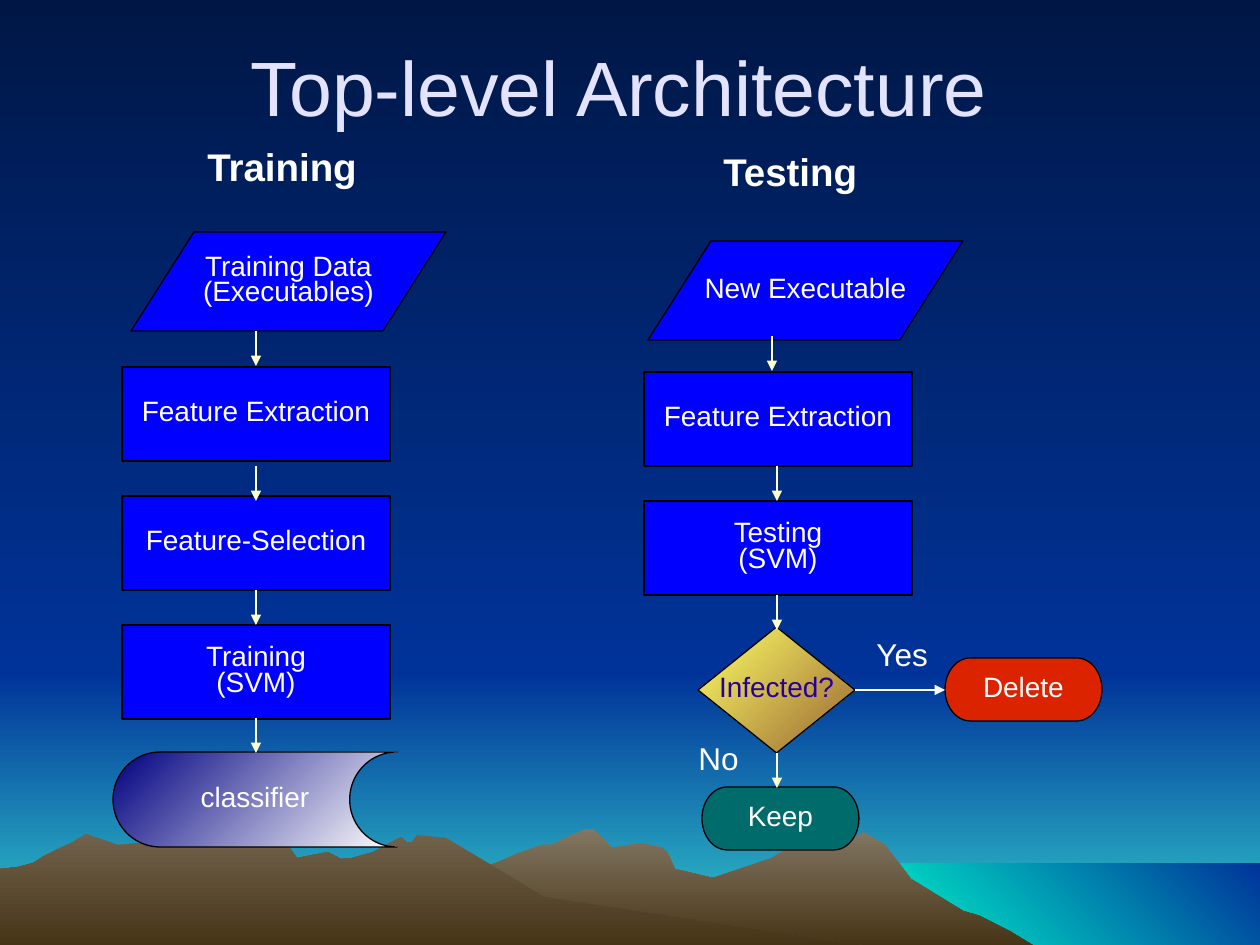
"""Build the top-level architecture slide: training and testing flows over a landscape."""
import lxml.etree
import pptx
import pptx.dml.color
import pptx.enum.shapes
import pptx.enum.text
import pptx.oxml.ns
import pptx.util

EMU_PER_PX = 914400 / 126
WIDTH, HEIGHT = 1260, 945
HORIZON = 672
KIND = pptx.enum.shapes.MSO_SHAPE
ALIGN = pptx.enum.text.PP_ALIGN
ANCHOR = pptx.enum.text.MSO_ANCHOR
BLUE, WHITE, CREAM = "0000FF", "FFFFFF", "FFFFCC"
NIGHT = ("001746", "003399", 90)

# left, top, width, height, gradient
SCENERY = [
    (0, HORIZON, WIDTH, HEIGHT - HORIZON, ("003399", "33CCCC", 90)),
    (0, 0, WIDTH, HORIZON, NIGHT),
    (861, 863, WIDTH - 861, HEIGHT - 863, ("003399", "00FFCC", 135)),
]
MOUNTAINS = [
    (("837763", "463416", 90), [
        (1034, 946), (1011, 932), (980, 916), (963, 911), (911, 879), (885, 845),
        (863, 832), (852, 840), (827, 845), (793, 845), (772, 858), (713, 878),
        (675, 869), (667, 852), (663, 848), (641, 843), (612, 848), (597, 833),
        (593, 829), (586, 829), (567, 837), (552, 845), (542, 845), (519, 853),
        (496, 863), (447, 879), (412, 893), (349, 931), (325, 946)]),
    (("72644E", "463416", 90), [
        (869, 946), (840, 942), (544, 897), (446, 838), (417, 835), (412, 842),
        (407, 842), (401, 837), (373, 852), (352, 858), (341, 859), (328, 852),
        (297, 858), (281, 835), (276, 832), (267, 829), (247, 829), (241, 834),
        (227, 838), (202, 845), (186, 840), (180, 840), (166, 845), (161, 845),
        (155, 843), (140, 843), (118, 845), (86, 834), (71, 843), (58, 849),
        (44, 856), (33, 863), (18, 867), (0, 869), (0, 946)]),
]

BOX_WIDTH, BOX_HEIGHT, BOX_PITCH = 268, 94, 129
# left, top of the first box, texts
BOX_COLUMNS = [
    (122, 367, [["Feature Extraction"], ["Feature-Selection"], ["Training", "(SVM)"]]),
    (644, 372, [["Feature Extraction"], ["Testing", "(SVM)"]]),
]
# preset, left, top, width, height, fill, text lines, text colour
NODES = [
    (KIND.FLOWCHART_DATA, 131, 232, 315, 99, BLUE, ["Training Data", "(Executables)"], WHITE),
    (KIND.FLOWCHART_DATA, 648, 241, 315, 99, BLUE, ["New Executable"], WHITE),
    (KIND.FLOWCHART_STORED_DATA, 113, 752, 284, 95, ("000080", "FFFFFF", 45), ["classifier"], WHITE),
    (KIND.FLOWCHART_DECISION, 698, 627, 157, 126, ("FFFF66", "996633", 45), ["Infected?"], "280099"),
    (KIND.FLOWCHART_TERMINATOR, 702, 787, 157, 63, "006B6B", ["Keep"], WHITE),
    (KIND.FLOWCHART_TERMINATOR, 945, 658, 157, 63, "DC2300", ["Delete"], WHITE),
]
ARROW_LENGTH = 35
# x, tops of the downward arrows
ARROW_COLUMNS = [(256, [331, 466, 590, 718]), (772, [336]), (777, [466, 595, 753])]
# text, left, top, width, height, size, bold, alignment
LABELS = [
    ("Training", 195, 147, 252, 48, 22, True, ALIGN.LEFT),
    ("Testing", 711, 152, 252, 48, 22, True, ALIGN.LEFT),
    ("No", 656, 741, 95, 42, 18, False, ALIGN.RIGHT),
    ("Yes", 864, 637, 95, 42, 18, False, ALIGN.LEFT),
]


def px(*values):
    return [pptx.util.Emu(round(value * EMU_PER_PX)) for value in values]


def color(value):
    return pptx.dml.color.RGBColor.from_string(value)


def paint(fill, value):
    if isinstance(value, str):
        fill.solid()
        fill.fore_color.rgb = color(value)
        return
    *ends, angle = value
    fill.gradient()
    fill.gradient_angle = 360 - angle
    for stop, end in zip(fill.gradient_stops, ends):
        stop.color.rgb = color(end)


def write(frame, lines, size, text_color, align=ALIGN.CENTER, spacing=0.76, bold=False):
    for index, line in enumerate(lines):
        paragraph = frame.add_paragraph() if index else frame.paragraphs[0]
        paragraph.text = line
        paragraph.alignment = align
        paragraph.line_spacing = spacing
        font = paragraph.font
        font.name, font.size, font.bold = "Arial", pptx.util.Pt(size), bold
        font.color.rgb = color(text_color)


def add_scenery(slide):
    paint(slide.background.fill, NIGHT)
    pieces = [(slide.shapes.add_shape(KIND.RECTANGLE, *px(*box)), gradient)
              for *box, gradient in SCENERY]
    for gradient, points in MOUNTAINS:
        builder = slide.shapes.build_freeform(*points[0], scale=EMU_PER_PX)
        builder.add_line_segments(points[1:], close=True)
        pieces.append((builder.convert_to_shape(), gradient))
    for shape, gradient in pieces:
        shape.shadow.inherit = False
        shape.line.fill.background()
        paint(shape.fill, gradient)


def add_node(slide, kind, left, top, width, height, fill, lines, text_color):
    shape = slide.shapes.add_shape(kind, *px(left, top, width, height))
    shape.shadow.inherit = False
    paint(shape.fill, fill)
    shape.line.color.rgb = color("000000")
    shape.line.width = pptx.util.Pt(0.75)
    shape.text_frame.word_wrap = False
    shape.text_frame.vertical_anchor = ANCHOR.MIDDLE
    write(shape.text_frame, lines, 16, text_color)


def add_arrow(slide, start, end, line_color):
    arrow = slide.shapes.add_connector(pptx.enum.shapes.MSO_CONNECTOR.STRAIGHT, *px(*start, *end))
    arrow.line.color.rgb = color(line_color)
    arrow.line.width = pptx.util.Pt(0.75)
    properties = arrow._element.spPr
    qn = pptx.oxml.ns.qn
    lxml.etree.SubElement(properties.find(qn("a:ln")), qn("a:tailEnd"), type="triangle")
    lxml.etree.SubElement(properties, qn("a:effectLst"))


def add_text(slide, box):
    frame = slide.shapes.add_textbox(*px(*box)).text_frame
    frame.word_wrap = True
    return frame


def main():
    presentation = pptx.Presentation()
    presentation.slide_width, presentation.slide_height = px(WIDTH, HEIGHT)
    slide = presentation.slides.add_slide(presentation.slide_layouts[6])
    add_scenery(slide)

    title = add_text(slide, (63, 5, 1134, 171))
    title.margin_left = title.margin_right = title.margin_top = title.margin_bottom = 0
    title.vertical_anchor = ANCHOR.MIDDLE
    write(title, ["Top-level Architecture "], 44, "E3E3FF", spacing=0.93)

    for left, top, texts in BOX_COLUMNS:
        for index, lines in enumerate(texts):
            add_node(slide, KIND.FLOWCHART_PROCESS, left, top + index * BOX_PITCH,
                     BOX_WIDTH, BOX_HEIGHT, BLUE, lines, WHITE)
    for node in NODES:
        add_node(slide, *node)
    for x, tops in ARROW_COLUMNS:
        for top in tops:
            add_arrow(slide, (x, top), (x, top + ARROW_LENGTH), CREAM)
    add_arrow(slide, (855, 690), (945, 690), WHITE)
    for text, *box, size, bold, align in LABELS:
        write(add_text(slide, box), [text], size, WHITE, align, bold=bold)

    presentation.save("out.pptx")


if __name__ == "__main__":
    main()
